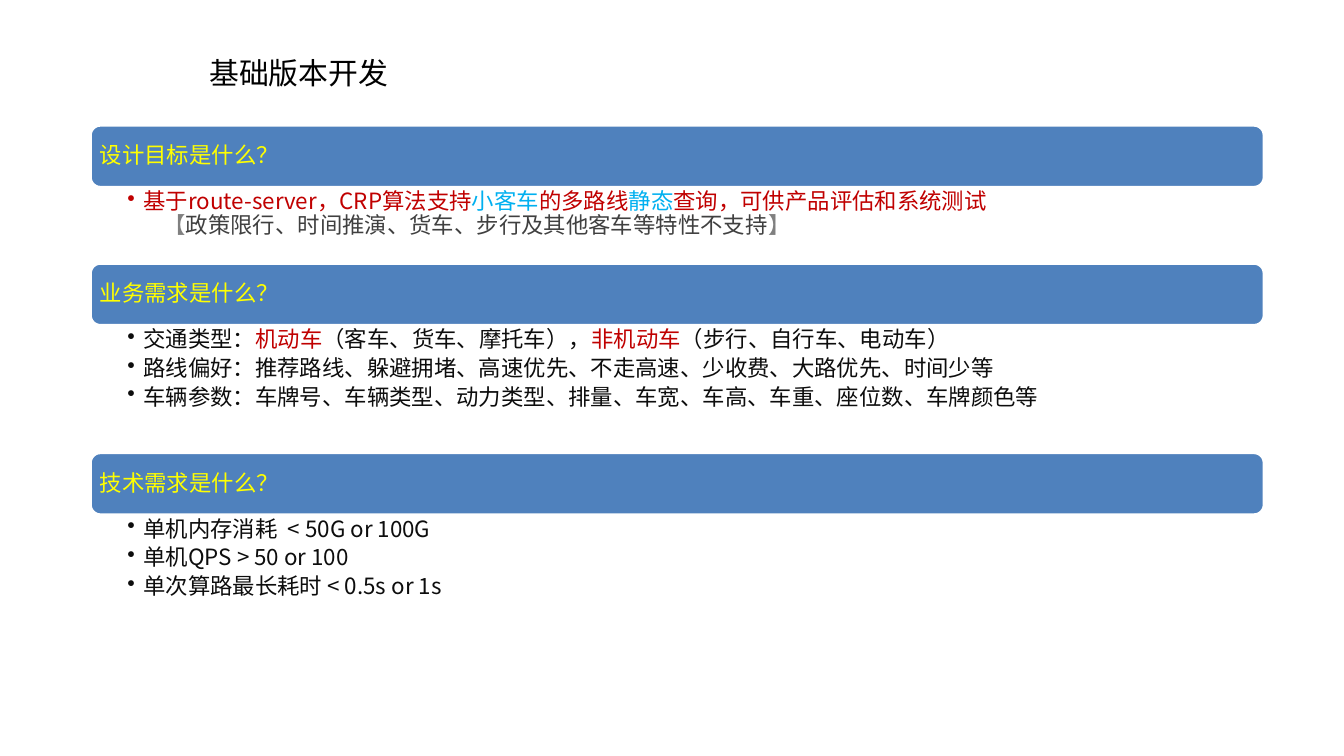
"""Build the slide on developing the basic version: three headed sections."""
from dataclasses import dataclass

from lxml.etree import SubElement
from pptx import Presentation
from pptx.dml.color import RGBColor
from pptx.enum.shapes import MSO_SHAPE as Preset
from pptx.enum.text import MSO_ANCHOR as Anchor, PP_ALIGN as Align
from pptx.oxml.ns import qn
from pptx.slide import Slide
from pptx.text.text import TextFrame, _Paragraph as Paragraph
from pptx.util import Cm, Pt

FONT = "Noto Sans CJK SC"
BLACK, WHITE, YELLOW, BLUE = "000000", "FFFFFF", "FFFF00", "4F81BD"
INK, RED, CYAN, GRAY, DARK = "0D0D0D", "C00000", "00B0F0", "808080", "404040"
LEFT, WIDTH, TOP, HEADING_HEIGHT = 1.7, 22.2, 2.36, 1.19


@dataclass(frozen=True)
class Piece:
    text: str
    color: str = INK


@dataclass(frozen=True)
class Line:
    pieces: tuple[Piece, ...]
    bullet: bool = True
    indent: float = 0.3
    space_after: float = 2.4


@dataclass(frozen=True)
class Section:
    heading: str
    body_height: float
    lines: tuple[Line, ...]


SECTIONS = (
    Section("设计目标是什么？", 1.42, (
        Line((
            Piece("基于route-server，CRP算法支持", RED),
            Piece("小客车", CYAN),
            Piece("的多路线", RED),
            Piece("静态", CYAN),
            Piece("查询，可供产品评估和系统测试", RED),
        ), space_after=0),
        Line((
            Piece("【", GRAY),
            Piece("政策限行、时间推演、货车、步行及其他客车等特性不支持", DARK),
            Piece("】", GRAY),
        ), bullet=False, indent=0.68),
    )),
    Section("业务需求是什么？", 2.39, (
        Line((
            Piece("交通类型："),
            Piece("机动车", RED),
            Piece("（客车、货车、摩托车），"),
            Piece("非机动车", RED),
            Piece("（步行、自行车、电动车）"),
        )),
        Line((Piece("路线偏好：推荐路线、躲避拥堵、高速优先、不走高速、少收费、大路优先、时间少等"),)),
        Line((Piece("车辆参数：车牌号、车辆类型、动力类型、排量、车宽、车高、车重、座位数、车牌颜色等"),)),
    )),
    Section("技术需求是什么？", 2.39, (
        Line((Piece("单机内存消耗  < 50G or 100G"),)),
        Line((Piece("单机QPS > 50 or 100"),)),
        Line((Piece("单次算路最长耗时 < 0.5s or 1s"),)),
    )),
)


def rgb(color: str) -> RGBColor:
    return RGBColor.from_string(color)


def set_insets(frame: TextFrame, left: float, top: float, right: float, bottom: float) -> None:
    frame.word_wrap = True
    frame.margin_left, frame.margin_top = Cm(left), Cm(top)
    frame.margin_right, frame.margin_bottom = Cm(right), Cm(bottom)


def add_run(paragraph: Paragraph, piece: Piece, size: float = 12) -> None:
    run = paragraph.add_run()
    run.text = piece.text
    run.font.size = Pt(size)
    run.font.color.rgb = rgb(piece.color)
    run.font.name = FONT
    SubElement(run.font._element, qn("a:ea"), typeface=FONT)


def add_title(slide: Slide, text: str) -> None:
    title = slide.shapes.add_textbox(Cm(3.71), Cm(0.58), Cm(20.4), Cm(1.57))
    frame = title.text_frame
    set_insets(frame, 0.25, 0.13, 0.25, 0.13)
    frame.vertical_anchor = Anchor.MIDDLE
    add_run(frame.paragraphs[0], Piece(text, BLACK), 16)


def add_heading(slide: Slide, text: str, top: float) -> None:
    bar = slide.shapes.add_shape(
        Preset.ROUNDED_RECTANGLE, Cm(LEFT), Cm(top), Cm(WIDTH), Cm(HEADING_HEIGHT))
    bar.shadow.inherit = False
    bar.fill.solid()
    bar.fill.fore_color.rgb = rgb(BLUE)
    bar.line.color.rgb = rgb(WHITE)
    bar.line.width = Pt(2)
    frame = bar.text_frame
    set_insets(frame, 0.13, 0.13, 0.13, 0.13)
    frame.vertical_anchor = Anchor.MIDDLE
    paragraph = frame.paragraphs[0]
    paragraph.alignment = Align.LEFT
    paragraph.line_spacing = 0.9
    paragraph.space_after = Pt(4.2)
    add_run(paragraph, Piece(text, YELLOW))


def fill_line(paragraph: Paragraph, line: Line) -> None:
    paragraph.level = 1
    paragraph.line_spacing = 0.9
    paragraph.space_after = Pt(line.space_after)
    properties = paragraph._p.get_or_add_pPr()
    properties.set("marL", str(Cm(line.indent)))
    properties.set("indent", str(-Cm(line.indent) if line.bullet else 0))
    if line.bullet:
        SubElement(properties, qn("a:buChar"), char="•")
    else:
        SubElement(properties, qn("a:buNone"))
    for piece in line.pieces:
        add_run(paragraph, piece)


def add_body(slide: Slide, section: Section, top: float) -> None:
    body = slide.shapes.add_textbox(Cm(LEFT), Cm(top), Cm(WIDTH), Cm(section.body_height))
    frame = body.text_frame
    set_insets(frame, 0.71, 0.05, 0.23, 0.05)
    for index, line in enumerate(section.lines):
        paragraph = frame.add_paragraph() if index else frame.paragraphs[0]
        fill_line(paragraph, line)


def main() -> None:
    presentation = Presentation()
    presentation.slide_width, presentation.slide_height = Cm(25.4), Cm(14.29)
    slide = presentation.slides.add_slide(presentation.slide_layouts[6])
    add_title(slide, "基础版本开发")
    top = TOP
    for section in SECTIONS:
        add_heading(slide, section.heading, top)
        add_body(slide, section, top + HEADING_HEIGHT)
        top += HEADING_HEIGHT + section.body_height
    presentation.save("out.pptx")


if __name__ == "__main__":
    main()
